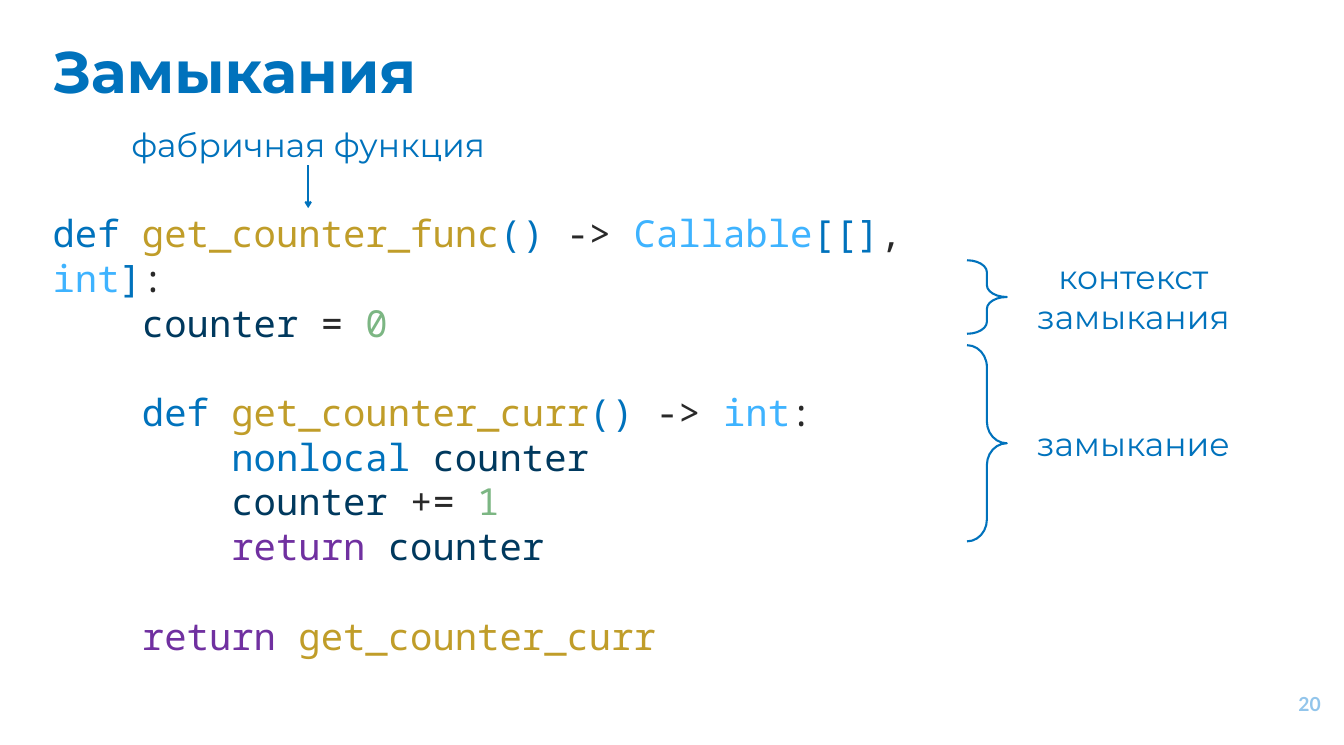
from pptx import Presentation, util as u
from pptx.dml.color import RGBColor
from pptx.enum import shapes, text
from pptx.oxml import ns, xmlchemy

WIDTH, HEIGHT = 27.06, 15
BLUE, GOLD, SKY, INK = "0072BC", "C09D29", "3EB3FF", "292929"
NAVY, GREEN, PURPLE, PALE = "00395E", "7CB683", "7030A0", "92C5EB"
SANS, MONO = "Montserrat", "Noto Sans Mono"
LEFT = 0.96
CODE_SIZE = 54
INDENT = 4 * 0.6 * CODE_SIZE  # four monospaced characters, in points
BLANK_LINE = 1.2 * CODE_SIZE

# Each line: indent level, blank line before it, coloured pieces
CODE = [
    (0, False, [("def ", BLUE), ("get_counter_func", GOLD), ("()", BLUE),
                (" -> ", INK), ("Callable", SKY), ("[[]", BLUE), (", ", INK),
                ("int", SKY), ("]", BLUE), (":", INK)]),
    (1, False, [("counter", NAVY), (" = ", INK), ("0", GREEN)]),
    (1, True, [("def ", BLUE), ("get_counter_curr", GOLD), ("()", BLUE),
               (" -> ", INK), ("int", SKY), (":", INK)]),
    (2, False, [("nonlocal ", BLUE), ("counter", NAVY)]),
    (2, False, [("counter", NAVY), (" += ", INK), ("1", GREEN)]),
    (2, False, [("return ", PURPLE), ("counter", NAVY)]),
    (1, True, [("return ", PURPLE), ("get_counter_curr", GOLD)]),
]


def colour(value):
    return RGBColor.from_string(value)


def inches(box):
    return [u.Inches(value) for value in box]


def style(span, size, face, value, bold=False):
    span.font.size = u.Pt(size)
    span.font.name = face
    span.font.bold = bold
    span.font.color.rgb = colour(value)


def outline(shape):
    shape.line.color.rgb = colour(BLUE)
    shape.line.width = u.Pt(3)


def add_text_box(page, box):
    frame = page.shapes.add_textbox(*inches(box)).text_frame
    frame.word_wrap = True
    return frame


def fill_frame(frame, words, size, face, value, align, bold=False):
    frame.text = words
    para = frame.paragraphs[0]
    para.alignment = align
    style(para.runs[0], size, face, value, bold)


def pad(frame, margin):
    frame.margin_left = frame.margin_right = u.Inches(margin)
    frame.margin_top = frame.margin_bottom = u.Inches(margin)


def add_title(page, box, words):
    title = page.shapes.title
    title.left, title.top, title.width, title.height = inches(box)
    frame = title.text_frame
    frame.vertical_anchor = text.MSO_ANCHOR.TOP
    frame.auto_size = text.MSO_AUTO_SIZE.NONE
    pad(frame, 0.1)
    fill_frame(frame, words, 85, SANS, BLUE, text.PP_ALIGN.LEFT, True)


def add_page_number(page, box, number):
    frame = add_text_box(page, box)
    frame.vertical_anchor = text.MSO_ANCHOR.MIDDLE
    pad(frame, 0.1)
    fill_frame(frame, number, 28, "Lato", PALE, text.PP_ALIGN.RIGHT, True)


def add_code(page, box):
    frame = add_text_box(page, box)
    for index, (level, gap, pieces) in enumerate(CODE):
        para = frame.add_paragraph() if index else frame.paragraphs[0]
        para.space_before = u.Pt(BLANK_LINE if gap else 0)
        para._p.get_or_add_pPr().set("marL", str(int(u.Pt(level * INDENT))))
        for words, value in pieces:
            span = para.add_run()
            span.text = words
            style(span, CODE_SIZE, MONO, value)


def add_label(page, box, words):
    frame = add_text_box(page, box)
    frame.auto_size = text.MSO_AUTO_SIZE.SHAPE_TO_FIT_TEXT
    fill_frame(frame, words, 48, SANS, BLUE, text.PP_ALIGN.CENTER)


def add_brace(page, box, curl):
    brace = page.shapes.add_shape(shapes.MSO_SHAPE.RIGHT_BRACE, *inches(box))
    brace.adjustments[0] = curl
    brace.adjustments[1] = 0.5
    brace.shadow.inherit = False
    brace.fill.background()
    outline(brace)


def add_braced_note(page, box, curl, words, label_height):
    """Brace on the left of the box, label centred vertically beside it."""
    left, top, width, height = box
    add_brace(page, (left, top, 0.8, height), curl)
    label_top = top + (height - label_height) / 2
    add_label(page, (left + 1.02, label_top, width - 1.02, label_height), words)


def add_arrow_note(page, box, words):
    """Label at the top of the box, arrow down to its bottom edge."""
    left, top, width, height = box
    label_height = 0.91
    add_label(page, (left, top, width, label_height), words)
    middle = left + width / 2
    ends = inches((middle, top + label_height - 0.04, middle, top + height))
    arrow = page.shapes.add_connector(shapes.MSO_CONNECTOR.STRAIGHT, *ends)
    outline(arrow)
    line = arrow.line._get_or_add_ln()
    line.append(xmlchemy.OxmlElement("a:tailEnd"))
    line.find(ns.qn("a:tailEnd")).set("type", "arrow")
    arrow._element.spPr.append(xmlchemy.OxmlElement("a:effectLst"))


def main():
    deck = Presentation()
    deck.slide_width, deck.slide_height = inches((WIDTH, HEIGHT))
    page = deck.slides.add_slide(deck.slide_layouts[5])

    # Title and page number
    add_title(page, (LEFT, 0.61, 8.16, 1.92), "Замыкания")
    add_page_number(page, (WIDTH - 1.99, HEIGHT - 1.4, 1.62, 1.15), "20")

    # Code listing
    add_code(page, (LEFT, 4.19, 18.51, 9.24))

    # Notes on the code
    add_arrow_note(page, (2.17, 2.46, 8.07, 1.73), "фабричная функция")
    add_braced_note(page, (19.47, 5.24, 5.68, 1.48), 0.3,
                    "контекст замыкания", 1.72)
    add_braced_note(page, (19.47, 6.95, 5.68, 3.95), 0.55, "замыкание", 0.91)

    deck.save("out.pptx")


if __name__ == "__main__":
    main()
